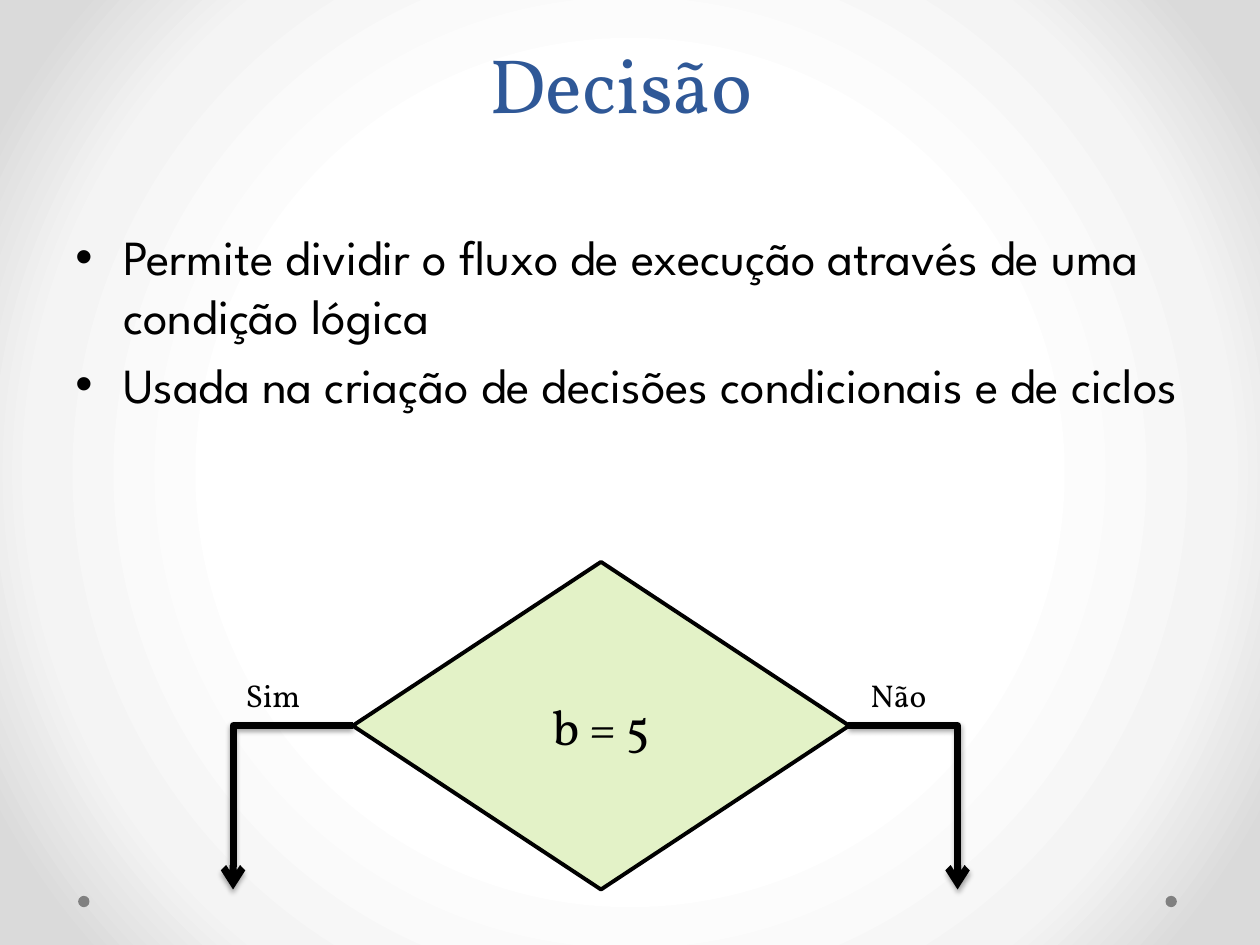
from pptx import Presentation
from pptx import util as u
from pptx.dml.color import RGBColor
from pptx.enum import shapes, text
from pptx.oxml import parse_xml
from pptx.oxml.ns import qn, nsdecls

BLACK = RGBColor(0, 0, 0)
BLUE = RGBColor(0x2F, 0x58, 0x97)
GREEN = RGBColor(0xE3, 0xF2, 0xC7)
GRAY = RGBColor(0x80, 0x80, 0x80)
SERIF = "Vollkorn"
SANS = "League Spartan"
POINTS = [
    "Permite dividir o fluxo de execução através de uma condição lógica",
    "Usada na criação de decisões condicionais e de ciclos",
]
STOPS = [(0, "FFFFFF"), (50, "FFFFFF"), (76, "F4F4F4"), (92, "DADADA"), (100, "DADADA")]


def box(*sides):
    return [u.Inches(side) for side in sides]


def style(para, size, face=SERIF, color=BLACK):
    for run in para.runs:
        run.font.size = u.Pt(size)
        run.font.name = face
        run.font.color.rgb = color


def backdrop(slide):
    stops = "".join(
        f'<a:gs pos="{pos * 1000}"><a:srgbClr val="{color}"/></a:gs>' for pos, color in STOPS
    )
    slide._element.cSld.insert(0, parse_xml(
        f'<p:bg {nsdecls("p", "a")}><p:bgPr><a:gradFill rotWithShape="1">'
        f'<a:gsLst>{stops}</a:gsLst><a:path path="circle">'
        '<a:fillToRect l="50000" t="50000" r="50000" b="50000"/></a:path>'
        '</a:gradFill><a:effectLst/></p:bgPr></p:bg>'
    ))


def heading(slide, words):
    title = slide.shapes.title
    title.left, title.top, title.width, title.height = box(0.43, -0.18, 9, 1.25)
    frame = title.text_frame
    frame.text = words
    frame.auto_size = text.MSO_AUTO_SIZE.NONE
    frame.vertical_anchor = text.MSO_ANCHOR.BOTTOM
    para = frame.paragraphs[0]
    para.alignment = text.PP_ALIGN.CENTER
    para.line_spacing = u.Pt(58)
    style(para, 44, color=BLUE)


def bullets(slide, lines):
    frame = slide.shapes.add_textbox(*box(0.5, 1.75, 9, 4.95)).text_frame
    frame.word_wrap = True
    frame.text = "\n".join(lines)
    for para in frame.paragraphs:
        para.space_before = u.Pt(5.6)
        style(para, 28, SANS)
        props = para._p.get_or_add_pPr()
        props.set("marL", str(u.Inches(0.38)))
        props.set("indent", str(u.Inches(-0.38)))
        props.append(parse_xml(f'<a:buFont {nsdecls("a")} typeface="Arial"/>'))
        props.append(parse_xml(f'<a:buChar {nsdecls("a")} char="•"/>'))


def shape(slide, kind, place, fill):
    item = slide.shapes.add_shape(kind, *box(*place))
    item.shadow.inherit = False
    item.fill.solid()
    item.fill.fore_color.rgb = fill
    item.line.fill.background()
    return item


def choice(slide, words):
    item = shape(slide, shapes.MSO_SHAPE.FLOWCHART_DECISION, (2.8, 4.46, 3.94, 2.6), GREEN)
    item.line.color.rgb = BLACK
    item.line.width = u.Pt(2.25)
    frame = item.text_frame
    frame.text = words
    frame.vertical_anchor = text.MSO_ANCHOR.MIDDLE
    frame.paragraphs[0].alignment = text.PP_ALIGN.CENTER
    style(frame.paragraphs[0], 28)


def branch(slide, start, end):
    link = slide.shapes.add_connector(
        shapes.MSO_CONNECTOR.ELBOW, *box(start, 5.76, end, 7.06)
    )
    link.line.color.rgb = BLACK
    link.line.width = u.Pt(4)
    props = link._element.spPr
    props.find(qn("a:prstGeom")).set("prst", "bentConnector2")
    props.find(qn("a:ln")).append(parse_xml(f'<a:tailEnd {nsdecls("a")} type="arrow"/>'))
    props.append(parse_xml(
        f'<a:effectLst {nsdecls("a")}><a:outerShdw blurRad="{u.Pt(3.1)}" dist="{u.Pt(1.8)}" '
        'dir="5400000" rotWithShape="0"><a:srgbClr val="000000"><a:alpha val="35000"/>'
        '</a:srgbClr></a:outerShdw></a:effectLst>'
    ))


def label(slide, words, left, width):
    frame = slide.shapes.add_textbox(*box(left, 5.32, width, 0.4)).text_frame
    frame.word_wrap = True
    frame.auto_size = text.MSO_AUTO_SIZE.SHAPE_TO_FIT_TEXT
    frame.text = words
    style(frame.paragraphs[0], 18)


def main():
    deck = Presentation()
    deck.slide_width, deck.slide_height = box(10, 7.5)
    slide = deck.slides.add_slide(deck.slide_layouts[5])
    backdrop(slide)
    for left in (9.25, 0.62):
        shape(slide, shapes.MSO_SHAPE.OVAL, (left, 7.11, 0.09, 0.09), GRAY)
    heading(slide, "Decisão")
    bullets(slide, POINTS)
    choice(slide, "b = 5")
    branch(slide, 6.73, 7.6)
    branch(slide, 2.8, 1.85)
    label(slide, "Sim", 1.85, 0.79)
    label(slide, "Não", 6.81, 0.71)
    deck.save("out.pptx")


if __name__ == "__main__":
    main()
